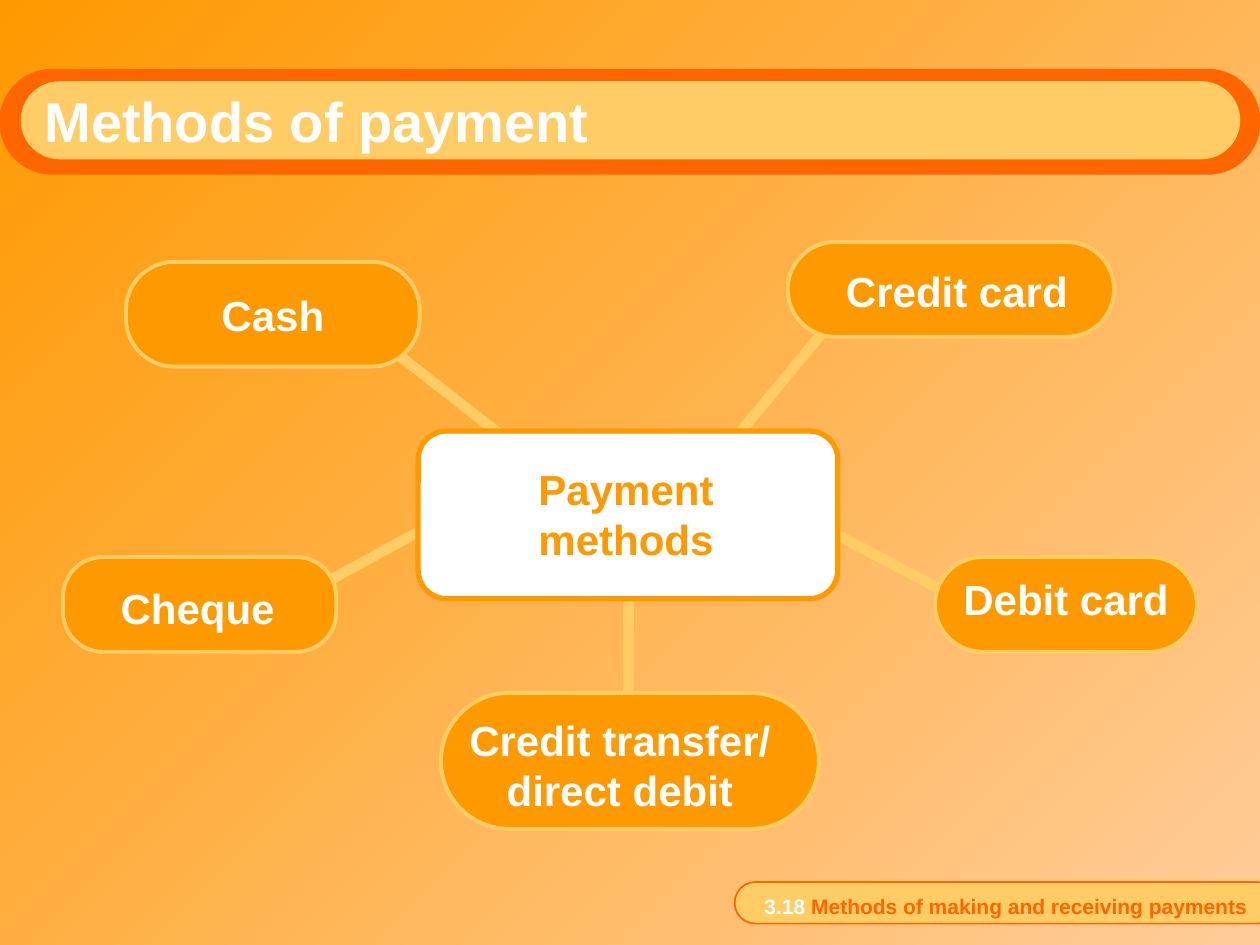
from dataclasses import dataclass
from typing import Any, NamedTuple

import pptx
import pptx.dml.color
import pptx.enum.shapes
import pptx.enum.text
import pptx.oxml.ns
import pptx.util
from lxml import etree
from pptx.util import Cm

COLOURS = {
    "orange": "FF9900",
    "peach": "FFCC99",
    "sand": "FFCC66",
    "deep": "FF6600",
    "white": "FFFFFF",
}
ALIGN = pptx.enum.text.PP_ALIGN


class Box(NamedTuple):
    """Left, top, width and height in centimetres."""
    left: float
    top: float
    width: float
    height: float


class Point(NamedTuple):
    x: float
    y: float


@dataclass(frozen=True)
class Style:
    fill: str
    line: str
    weight: float


@dataclass(frozen=True)
class Branch:
    text: str
    start: Point
    end: Point
    pill: Box
    label: Box
    rounding: float = 0.5


BRANCH_STYLE = Style("orange", "sand", 2.25)
BRANCHES = [
    Branch("Credit transfer/\vdirect debit", Point(12.67, 14.61), Point(12.67, 11),
           Box(8.89, 13.97, 7.62, 2.74), Box(8.05, 14.27, 8.89, 2.29)),
    Branch("Debit card", Point(19.69, 12.27), Point(16.08, 10.36),
           Box(18.85, 11.23, 5.28, 1.91), Box(18.85, 11.43, 5.28, 1.27)),
    Branch("Credit card", Point(16.71, 6.55), Point(14.61, 9.09),
           Box(15.88, 4.88, 6.58, 1.91), Box(16.33, 5.23, 5.92, 1.27)),
    Branch("Cheque", Point(6.35, 11.86), Point(9.09, 10.36),
           Box(1.27, 11.23, 5.51, 1.91), Box(1.47, 11.61, 5.03, 1.27), 0.42),
    Branch("Cash", Point(7.82, 6.99), Point(10.8, 9.32),
           Box(2.54, 5.28, 5.92, 2.11), Box(2.54, 5.72, 5.92, 1.27), 0.46),
]


def colour(name: str) -> pptx.dml.color.RGBColor:
    return pptx.dml.color.RGBColor.from_string(COLOURS[name])


def lengths(values: tuple) -> list:
    return [Cm(value) for value in values]


def format_span(span: Any, size: float, ink: str) -> None:
    span.font.name = "Arial"
    span.font.size = pptx.util.Pt(size)
    span.font.bold = True
    span.font.color.rgb = colour(ink)


def add_pill(shapes: Any, box: Box, style: Style, rounding: float = 0.5) -> None:
    pill = shapes.add_shape(
        pptx.enum.shapes.MSO_SHAPE.ROUNDED_RECTANGLE, *lengths(box))
    pill.adjustments[0] = rounding
    pill.shadow.inherit = False
    pill.fill.solid()
    pill.fill.fore_color.rgb = colour(style.fill)
    pill.line.color.rgb = colour(style.line)
    pill.line.width = pptx.util.Pt(style.weight)


def add_label(shapes: Any, box: Box, text: str, ink: str) -> None:
    frame = shapes.add_textbox(*lengths(box)).text_frame
    frame.word_wrap = True
    frame.text = text
    para = frame.paragraphs[0]
    para.alignment = ALIGN.CENTER
    for span in para.runs:
        format_span(span, 24, ink)


def add_spoke(shapes: Any, start: Point, end: Point) -> None:
    spoke = shapes.add_connector(
        pptx.enum.shapes.MSO_CONNECTOR.STRAIGHT, *lengths(start + end))
    spoke.line.color.rgb = colour("sand")
    spoke.line.width = pptx.util.Pt(6)
    etree.SubElement(spoke._element.spPr, pptx.oxml.ns.qn("a:effectLst"))


def add_branch(page: Any, branch: Branch) -> None:
    shapes = page.shapes.add_group_shape().shapes
    add_spoke(shapes, branch.start, branch.end)
    add_pill(shapes, branch.pill, BRANCH_STYLE, branch.rounding)
    add_label(shapes, branch.label, branch.text, "white")


def add_hub(page: Any) -> None:
    shapes = page.shapes.add_group_shape().shapes
    add_pill(shapes, Box(8.43, 8.69, 8.46, 3.38), Style("white", "orange", 3), 0.17)
    add_label(shapes, Box(9.32, 9.22, 6.6, 2.29), "Payment methods", "orange")


def paint_background(page: Any) -> None:
    fill = page.background.fill
    fill.gradient()
    fill.gradient_angle = 315
    for stop, name in zip(fill.gradient_stops, ("orange", "peach")):
        stop.color.rgb = colour(name)


def add_footer(page: Any) -> None:
    add_pill(page.shapes, Box(14.81, 17.78, 10.95, 0.84), Style("sand", "deep", 1))
    frame = page.shapes.add_textbox(*lengths(Box(15.04, 17.88, 10.36, 1.07))).text_frame
    frame.word_wrap = True
    para = frame.paragraphs[0]
    para.alignment = ALIGN.RIGHT
    for text, ink in (("3.18 ", "white"),
                      ("Methods of making and receiving payments", "deep")):
        span = para.add_run()
        span.text = text
        format_span(span, 12, ink)


def add_title(page: Any) -> None:
    """Draw the title band and bring the title placeholder in front of it."""
    add_pill(page.shapes, Box(0, 1.4, 25.4, 2.11), Style("deep", "deep", 0.75))
    add_pill(page.shapes, Box(0.43, 1.65, 24.56, 1.55), Style("sand", "sand", 0.75))
    title = page.shapes.title
    title.left, title.top, title.width, title.height = lengths(
        Box(0.64, 0.84, 24.64, 3.18))
    frame = title.text_frame
    frame.text = "Methods of payment"
    frame.vertical_anchor = pptx.enum.text.MSO_ANCHOR.MIDDLE
    para = frame.paragraphs[0]
    para.alignment = ALIGN.LEFT
    format_span(para.runs[0], 32, "white")
    title._element.getparent().append(title._element)


def main() -> None:
    deck = pptx.Presentation()
    deck.slide_width, deck.slide_height = Cm(25.4), Cm(19.05)
    page = deck.slides.add_slide(deck.slide_layouts.get_by_name("Title Only"))
    paint_background(page)
    add_footer(page)
    add_title(page)
    for branch in BRANCHES:
        add_branch(page, branch)
    add_hub(page)
    deck.save("out.pptx")


if __name__ == "__main__":
    main()
